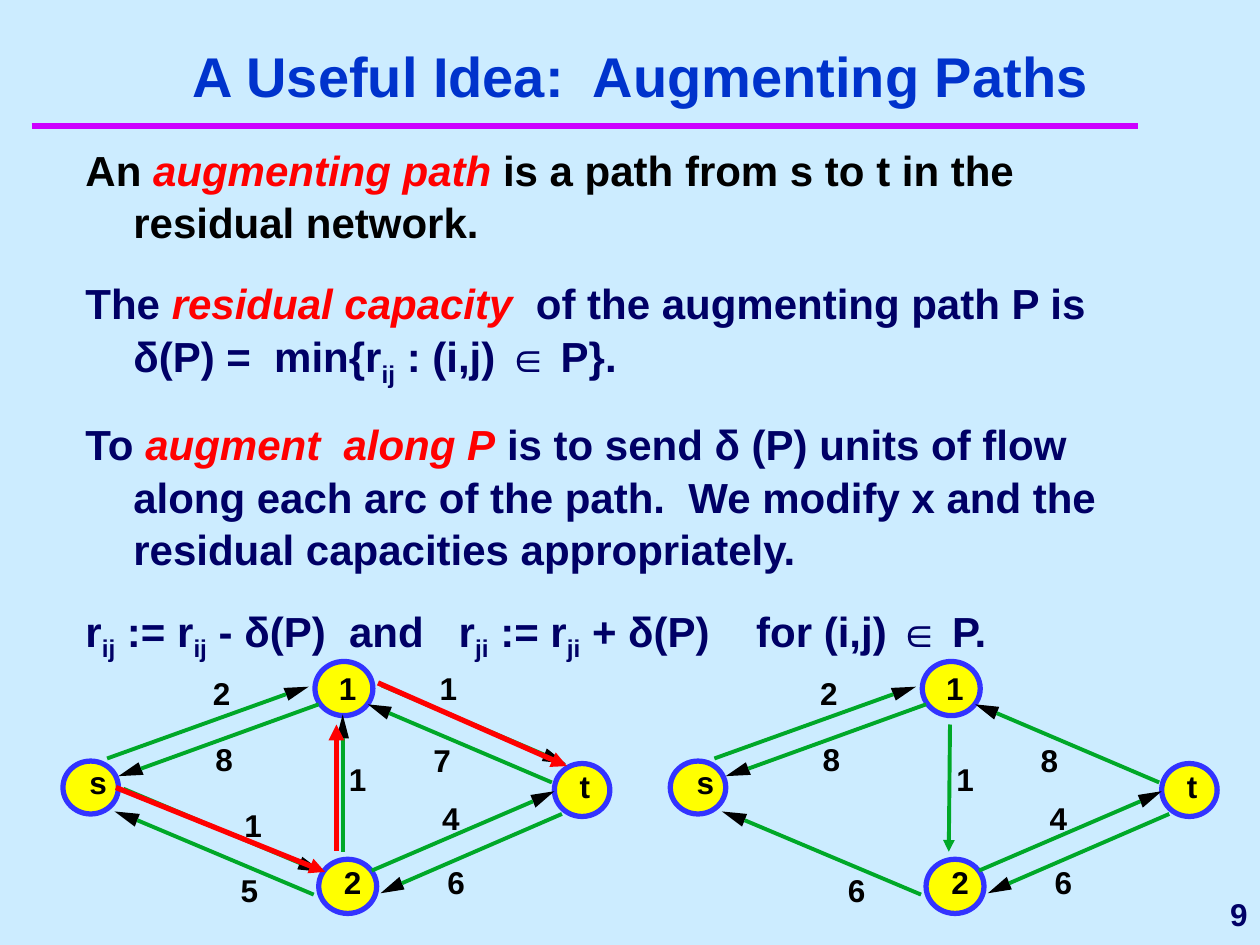
from dataclasses import dataclass
from math import hypot

from lxml.etree import SubElement
from pptx import Presentation
from pptx.dml.color import RGBColor as Rgb
from pptx.enum.shapes import MSO_CONNECTOR as Conn, MSO_SHAPE as Shape
from pptx.enum.text import MSO_ANCHOR as Anchor, MSO_AUTO_SIZE as Fit, PP_ALIGN as Align
from pptx.oxml.ns import qn
from pptx.util import Pt

PX = 9144


@dataclass(frozen=True)
class Theme:
    """Colours, font and type sizes of the slide."""
    back: str = "CCECFF"
    rule: str = "CC00FF"
    head: str = "0033CC"
    body: str = "000066"
    ink: str = "000000"
    red: str = "FF0000"
    green: str = "00A828"
    node: str = "FFFF00"
    ring: str = "3333FF"
    font: str = "Arial"
    big: int = 32
    mid: int = 24
    small: int = 18


T = Theme()

BODY = [
    [("An", "ink"), (" augmenting path", "key"),
     (" is a path from s to t in the residual network.", "ink")],
    [("The ", ""), ("residual capacity", "key"),
     ("  of the augmenting path P is ", ""), ("", "break"), ("δ(P) =  min{r", ""),
     ("ij", "sub"), (" : (i,j) ∈ P}.", "")],
    [("To ", ""), ("augment  along P", "key"),
     (" is to send δ (P) units of flow along each arc of the path.  "
      "We modify x and the residual capacities appropriately.", "")],
    [("r", ""), ("ij", "sub"), (" := r", ""), ("ij", "sub"), (" - δ(P)  and   r", ""),
     ("ji", "sub"), (" := r", ""), ("ji", "sub"), (" + δ(P)    for (i,j) ∈ P.", "")],
]

NODES = [
    ("s", (50, 604, 44, 42), (71, 606)),
    ("1", (250, 525, 46, 43), (269, 531)),
    ("2", (253, 682, 46, 43), (273, 685)),
    ("t", (440, 606, 44, 42), (460, 609)),
]
SHARED = [
    ((85, 602), (245, 545)), ((295, 691), (440, 628)),
    ((253, 559), (94, 616)), ((438, 621), (292, 559)),
    ((446, 646), (302, 709)), ((249, 710), (91, 644)),
]
EXTRA = [((98, 626), (256, 692)), ((303, 544), (449, 606)), ((272, 676), (272, 567))]
MARKS = [("2", 169, 535), ("1", 277, 603), ("4", 351, 634), ("8", 171, 587), ("6", 355, 685)]
LEFT = [("1", 349, 531), ("1", 194, 640), ("5", 191, 691), ("7", 344, 588)]
RIGHT = [("6", 191, 691), ("8", 344, 588)]
ROUTE = [((92, 625), (258, 692)), ((267, 675), (267, 575)), ((300, 542), (450, 608))]
SHIFT = 482


def style(font, size, color):
    """Set the bold face with a size and a colour."""
    font.name, font.size, font.bold = T.font, Pt(size), True
    font.color.rgb = Rgb.from_string(color)


def box(shapes, at):
    """Add an empty wrapping text box and return its frame."""
    frame = shapes.add_textbox(*(v * PX for v in at)).text_frame
    frame.word_wrap = True
    return frame


def line(shapes, start, end, color, width, arrow=False):
    """Add a straight line, with an arrowhead at its end if asked."""
    item = shapes.add_connector(Conn.STRAIGHT, *(v * PX for v in (*start, *end)))
    item.line.color.rgb = Rgb.from_string(color)
    item.line.width = Pt(width)
    if arrow:
        SubElement(item.line._get_or_add_ln(), qn("a:tailEnd"), type="triangle")
    SubElement(item._element.spPr, qn("a:effectLst"))


def arc(shapes, start, tip):
    """Add a green line that ends in a long black head."""
    (x, y), (tx, ty) = start, tip
    size = hypot(tx - x, ty - y)
    ux, uy = (tx - x) / size, (ty - y) / size
    bx, by = round(tx - 19 * ux), round(ty - 19 * uy)
    sides = [(round(bx + k * uy), round(by - k * ux)) for k in (5, -5)]
    path = shapes.build_freeform(tx, ty, scale=PX)
    path.add_line_segments(sides, close=True)
    head = path.convert_to_shape()
    head.shadow.inherit = False
    head.fill.solid()
    head.fill.fore_color.rgb = Rgb.from_string(T.ink)
    head.line.fill.background()
    line(shapes, start, (bx, by), T.green, 2.25)


def mark(shapes, text, x, y):
    """Add a one-letter label."""
    frame = box(shapes, (x, y, 8 if text == "t" else 14, 30))
    frame.margin_left = frame.margin_right = frame.margin_top = frame.margin_bottom = 0
    frame.word_wrap = False
    frame.auto_size = Fit.SHAPE_TO_FIT_TEXT
    frame.text = text
    style(frame.paragraphs[0].runs[0].font, T.small, T.ink)


def node(shapes, text, at, spot):
    """Add a ringed node and its name."""
    disc = shapes.add_shape(Shape.OVAL, *(v * PX for v in at))
    disc.shadow.inherit = False
    disc.fill.solid()
    disc.fill.fore_color.rgb = Rgb.from_string(T.node)
    disc.line.color.rgb = Rgb.from_string(T.ring)
    disc.line.width = Pt(3)
    mark(shapes, text, *spot)


def graph(slide, arcs, marks):
    """Add a group with the nodes, arcs and labels of a network."""
    group = slide.shapes.add_group_shape()
    for item in NODES:
        node(group.shapes, *item)
    for item in arcs:
        arc(group.shapes, *item)
    for item in marks:
        mark(group.shapes, *item)
    return group


def label(slide, text, at, size, color, align, anchor):
    """Add a single line of aligned text."""
    frame = box(slide.shapes, at)
    frame.vertical_anchor = anchor
    frame.text = text
    para = frame.paragraphs[0]
    para.alignment = align
    style(para.runs[0].font, size, color)


def prose(slide, at):
    """Add the body with hanging indents and styled runs."""
    frame = box(slide.shapes, at)
    for n, parts in enumerate(BODY):
        para = frame.add_paragraph() if n else frame.paragraphs[0]
        para.space_before, para.space_after = Pt(6 if n else 0), Pt(10.5)
        para.line_spacing = 1.04
        props = para._p.get_or_add_pPr()
        props.set("marL", str(38 * PX))
        props.set("indent", str(-38 * PX))
        for text, kind in parts:
            if kind == "break":
                para.add_line_break()
                continue
            run = para.add_run()
            run.text = text
            style(run.font, T.mid, {"ink": T.ink, "key": T.red}.get(kind, T.body))
            if kind == "key":
                run.font.italic = True
            if kind == "sub":
                run._r.get_or_add_rPr().set("baseline", "-25000")


def main():
    """Build the slide and save it."""
    deck = Presentation()
    deck.slide_width, deck.slide_height = 1000 * PX, 750 * PX
    slide = deck.slides.add_slide(deck.slide_layouts[6])
    slide.background.fill.solid()
    slide.background.fill.fore_color.rgb = Rgb.from_string(T.back)
    line(slide.shapes, (25, 100), (903, 100), T.rule, 4)
    label(slide, "9", (808, 700, 192, 50), T.small, T.body, Align.RIGHT, Anchor.MIDDLE)
    label(slide, "A Useful Idea:  Augmenting Paths", (42, 33, 933, 58),
          T.big, T.head, Align.CENTER, Anchor.BOTTOM)
    prose(slide, (58, 108, 845, 408))
    graph(slide, SHARED + EXTRA, MARKS + LEFT)
    for start, end in ROUTE:
        line(slide.shapes, start, end, T.red, 3, True)
    after = graph(slide, SHARED, MARKS + RIGHT)
    line(after.shapes, (272, 575), (271, 676), T.green, 2.25, True)
    after.left += SHIFT * PX
    deck.save("out.pptx")


if __name__ == "__main__":
    main()
